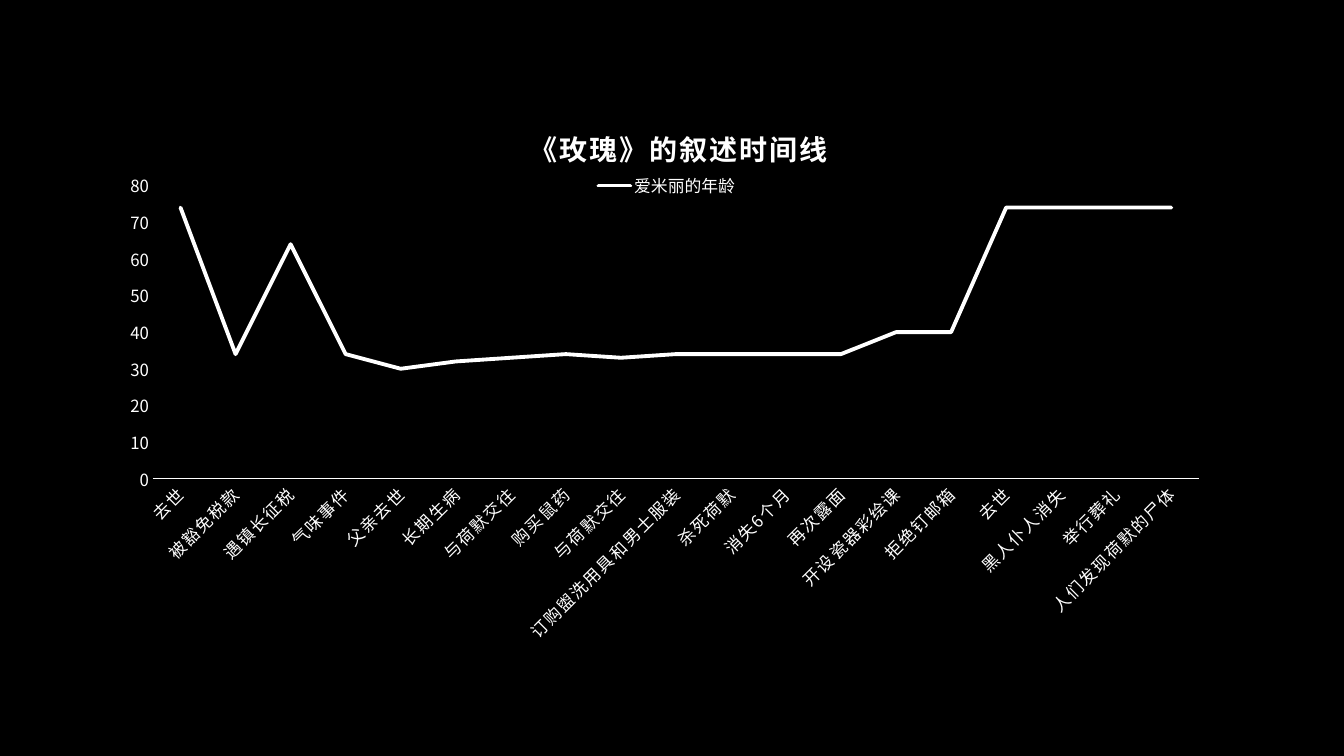
from dataclasses import dataclass

from lxml.etree import SubElement
from pptx import Presentation
from pptx.chart.axis import _BaseAxis
from pptx.chart.chart import Chart
from pptx.chart.data import CategoryChartData
from pptx.dml.color import RGBColor
from pptx.enum.chart import XL_CHART_TYPE, XL_LEGEND_POSITION, XL_TICK_MARK
from pptx.oxml import parse_xml
from pptx.oxml.ns import nsdecls, qn
from pptx.text.text import Font
from pptx.util import Emu, Pt

PX = 9144
FONT = "Noto Sans CJK SC"
BLACK = "000000"
WHITE = "FFFFFF"
TITLE = "《玫瑰》的叙述时间线"
SERIES = "爱米丽的年龄"


@dataclass(frozen=True)
class Event:
    """One narrated event and Emily's age at it."""
    label: str
    age: int


EVENTS = [
    Event("去世", 74),
    Event("被豁免税款", 34),
    Event("遇镇长征税", 64),
    Event("气味事件", 34),
    Event("父亲去世", 30),
    Event("长期生病", 32),
    Event("与荷默交往", 33),
    Event("购买鼠药", 34),
    Event("与荷默交往", 33),
    Event("订购盥洗用具和男士服装", 34),
    Event("杀死荷默", 34),
    Event("消失6个月", 34),
    Event("再次露面", 34),
    Event("开设瓷器彩绘课", 40),
    Event("拒绝钉邮箱", 40),
    Event("去世", 74),
    Event("黑人仆人消失", 74),
    Event("举行葬礼", 74),
    Event("人们发现荷默的尸体", 74),
]


def px(length: int) -> Emu:
    """Convert px to EMU."""
    return Emu(length * PX)


def color(value: str) -> RGBColor:
    """Turn a hex string into a colour."""
    return RGBColor.from_string(value)


def style_font(font: Font, size: int, bold: bool = False) -> None:
    """Apply the white chart typeface to a font."""
    font.size = Pt(size)
    font.bold = bold
    font.name = FONT
    font.color.rgb = color(WHITE)
    properties = font._element
    east_asian = SubElement(properties, qn("a:ea"))
    east_asian.set("typeface", FONT)
    properties.find(qn("a:latin")).addnext(east_asian)


def make_layout(fractions: dict[str, float], inner: bool = False):
    """Build a manual layout from chart fractions."""
    target = '<c:layoutTarget val="inner"/>' if inner else ""
    modes = "".join(f'<c:{side}Mode val="edge"/>' for side in "xy")
    values = "".join(f'<c:{key} val="{value}"/>' for key, value in fractions.items())
    return parse_xml(
        f'<c:layout {nsdecls("c")}><c:manualLayout>'
        f"{target}{modes}{values}</c:manualLayout></c:layout>"
    )


def place_after(parent, previous: str, layout) -> None:
    """Replace the layout of a chart part, after the named child."""
    for old in parent.findall(qn("c:layout")):
        parent.remove(old)
    parent.find(qn(previous)).addnext(layout)


def style_axis(axis: _BaseAxis) -> None:
    """Remove gridlines and ticks and set the label font."""
    axis.has_major_gridlines = False
    axis.major_tick_mark = XL_TICK_MARK.NONE
    axis.minor_tick_mark = XL_TICK_MARK.NONE
    style_font(axis.tick_labels.font, 12)


def style_axes(chart: Chart) -> None:
    """Style the event axis and the age axis."""
    events, ages = chart.category_axis, chart.value_axis
    for axis in (events, ages):
        style_axis(axis)
    events.format.line.color.rgb = color(WHITE)
    events.format.line.width = Pt(1)
    events.tick_labels.font._element.set("spc", "120")
    body = events._element.find(qn("c:txPr")).find(qn("a:bodyPr"))
    body.set("rot", "-2700000")
    body.set("vert", "horz")
    ages.format.line.fill.background()
    ages.minimum_scale, ages.maximum_scale, ages.major_unit = 0, 80, 10


def add_title(chart: Chart) -> None:
    """Write the chart title above the legend."""
    chart.has_title = True
    title = chart.chart_title
    span = title.text_frame.paragraphs[0].add_run()
    span.text = TITLE
    style_font(span.font, 20, bold=True)
    span.font._element.set("spc", "120")
    place_after(title._element, "c:tx", make_layout({"x": 0.37, "y": 0.04}))


def add_legend(chart: Chart) -> None:
    """Put the legend over the top of the plot."""
    chart.has_legend = True
    legend = chart.legend
    legend.position = XL_LEGEND_POSITION.TOP
    legend.include_in_layout = False
    style_font(legend.font, 12)
    area = {"x": 0.43, "y": 0.12, "w": 0.13, "h": 0.04}
    place_after(legend._element, "c:legendPos", make_layout(area))


def add_timeline(page) -> None:
    """Draw Emily's age over the narrated events."""
    data = CategoryChartData()
    data.categories = [event.label for event in EVENTS]
    data.add_series(SERIES, [event.age for event in EVENTS])
    frame = page.shapes.add_chart(
        XL_CHART_TYPE.LINE, px(102), px(92), px(1130), px(658), data
    )
    chart = frame.chart
    style_font(chart.font, 10)
    add_title(chart)
    add_legend(chart)
    style_axes(chart)
    plot = chart.plots[0]
    plot.vary_by_categories = False
    ages = plot.series[0]
    ages.smooth = False
    ages.format.line.color.rgb = color(WHITE)
    ages.format.line.width = Pt(2.75)
    ages.format.line._get_or_add_ln().set("cap", "rnd")
    area = plot._element.getparent()
    for old in area.findall(qn("c:layout")):
        area.remove(old)
    area.insert(0, make_layout({"x": 0.044, "y": 0.14, "w": 0.918, "h": 0.442}, True))


def main() -> None:
    """Build the slide and save it."""
    deck = Presentation()
    deck.slide_width, deck.slide_height = px(1333), px(750)
    page = deck.slides.add_slide(deck.slide_layouts[6])
    page.background.fill.solid()
    page.background.fill.fore_color.rgb = color(BLACK)
    add_timeline(page)
    deck.save("out.pptx")


if __name__ == "__main__":
    main()
